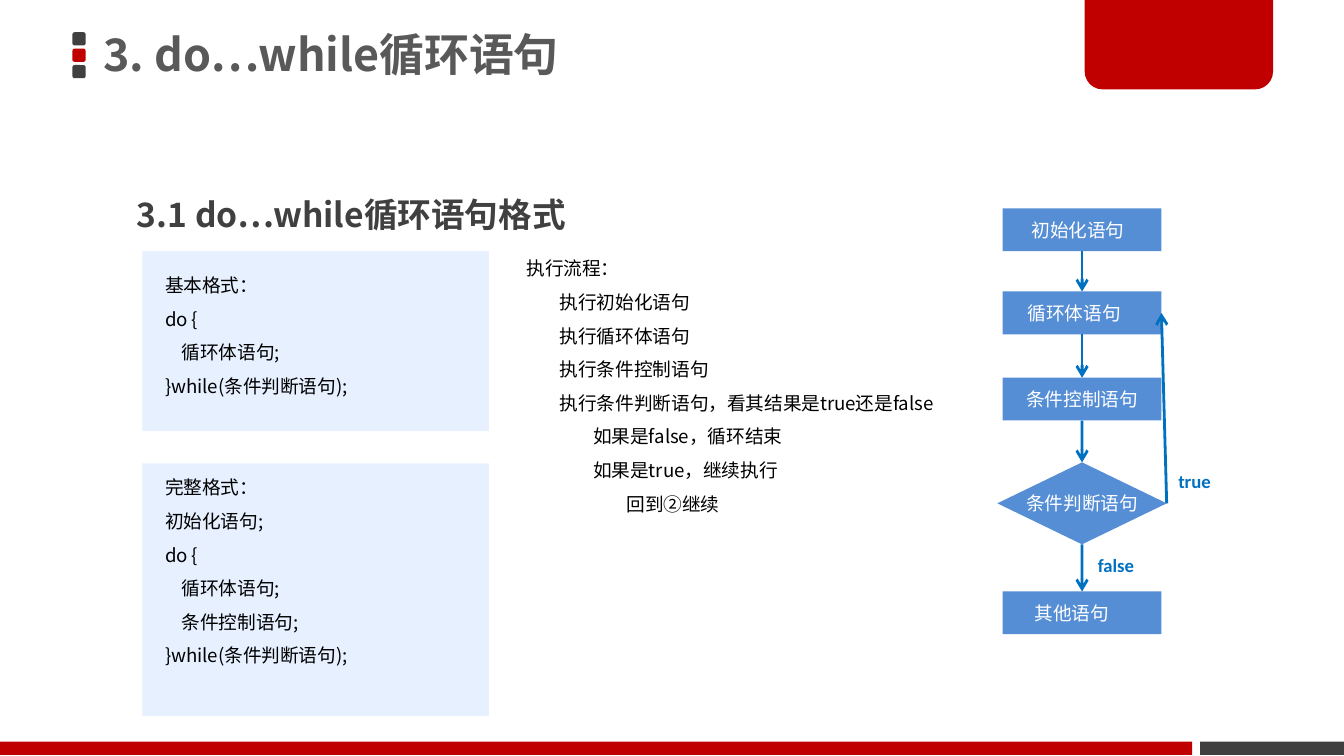
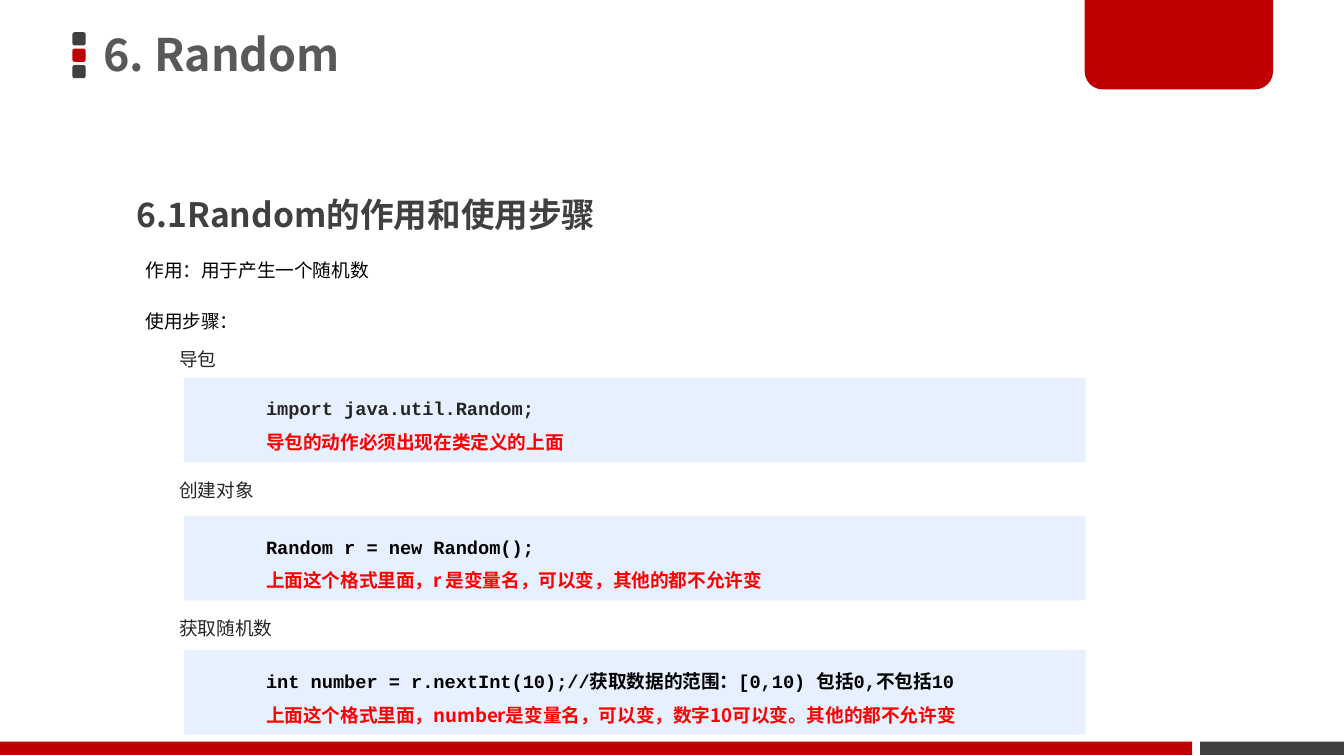
from itertools import pairwise

from lxml import etree
from pptx import Presentation
from pptx import util as u
from pptx.dml.color import RGBColor
from pptx.enum import shapes, text
from pptx.oxml.ns import qn

Cm, Pt = u.Cm, u.Pt
SHAPE, ALIGN, ANCHOR = shapes.MSO_SHAPE, text.PP_ALIGN, text.MSO_ANCHOR

SANS, MONO, LATIN = "Noto Sans CJK SC", "Courier New", "Calibri"
RED, DARK, PALE, BLUE, ARROW = "C00000", "404040", "E6F0FF", "558ED5", "0070C0"
INK, SOFT_INK, WARNING, WHITE = "000000", "262626", "FF0000", "FFFFFF"


def rgb(hex_string):
    return RGBColor.from_string(hex_string)


def place(shape, box):
    shape.left, shape.top, shape.width, shape.height = map(Cm, box)


def write(shape, lines, *, size=10, font=SANS, color=INK, bold=False, align=ALIGN.LEFT,
          anchor=ANCHOR.TOP, spacing=None, before=0, indent=0, wrap=True,
          insets=(0.25, 0.13, 0.25, 0.13)):
    """Fill a shape with lines; a line may be (text, overrides of its own)."""
    frame = shape.text_frame
    frame.word_wrap = wrap
    frame.auto_size = text.MSO_AUTO_SIZE.NONE
    frame.vertical_anchor = anchor
    (frame.margin_left, frame.margin_top,
     frame.margin_right, frame.margin_bottom) = map(Cm, insets)
    common = dict(font=font, color=color, indent=indent, before=before)
    for number, line in enumerate(lines):
        content, own = (line, {}) if isinstance(line, str) else line
        style = common | own
        paragraph = frame.add_paragraph() if number else frame.paragraphs[0]
        properties = paragraph._p.get_or_add_pPr()
        properties.set("marL", str(Cm(style["indent"])))
        properties.set("indent", "0")
        etree.SubElement(properties, qn("a:buNone"))
        paragraph.alignment = align
        paragraph.space_before = Pt(style["before"] if number else 0)
        if spacing:
            paragraph.line_spacing = spacing
        run = paragraph.add_run()
        run.text = content
        run.font.size, run.font.bold, run.font.name = Pt(size), bold, style["font"]
        run.font.color.rgb = rgb(style["color"])
        etree.SubElement(run._r.get_or_add_rPr(), qn("a:ea"), typeface=SANS)


class Deck:
    line_pitch = Pt(18)

    def __init__(self):
        self.presentation = Presentation()
        self.presentation.slide_width = Cm(25.4)
        self.presentation.slide_height = Cm(14.29)
        self.slide = None

    def new_slide(self, title, heading):
        layout = self.presentation.slide_layouts[1]
        self.slide = self.presentation.slides.add_slide(layout)
        self.decorate()
        place(self.slide.shapes.title, (1.75, -0.05, 14.96, 2.26))
        write(self.slide.shapes.title, [title], size=24, color="595959", bold=True,
              anchor=ANCHOR.MIDDLE, spacing=0.9, insets=(0.2, 0.1, 0.2, 0.1))
        self.note(heading, (2.34, 3.15, 12.17, 1.4), size=18, color=DARK, bold=True,
                  spacing=Pt(32.4))

    def decorate(self):
        for row, color in enumerate((DARK, RED, DARK)):
            self.block((1.37, 0.61 + 0.31 * row, 0.25, 0.25), color,
                       SHAPE.ROUNDED_RECTANGLE)
        corner_tab = self.block((20.5, 0, 3.56, 1.69), RED,
                                SHAPE.ROUND_2_SAME_RECTANGLE)
        corner_tab.adjustments[0], corner_tab.adjustments[1] = 0, 0.2
        self.block((0, 14.02, 22.53, 0.25), RED)
        self.block((22.68, 14.02, 2.72, 0.25), DARK)

    def block(self, box, color, kind=SHAPE.RECTANGLE):
        shape = self.slide.shapes.add_shape(kind, *map(Cm, box))
        shape.shadow.inherit = False
        shape.fill.solid()
        shape.fill.fore_color.rgb = rgb(color)
        shape.line.fill.background()
        return shape

    def body(self, lines, box):
        body = self.slide.placeholders[1]
        place(body, box)
        write(body, lines, spacing=self.line_pitch)

    def note(self, content, box, **style):
        write(self.slide.shapes.add_textbox(*map(Cm, box)), [content], **style)

    def panel(self, lines, box, left, top, **style):
        """Pale block whose text starts left and top inside it."""
        write(self.block(box, PALE), lines, spacing=self.line_pitch,
              insets=(left, top, 0, 0), **style)

    def step(self, label, box, kind=SHAPE.RECTANGLE, right_inset=0):
        shape = self.block(box, BLUE, kind)
        write(shape, [label], color=WHITE, align=ALIGN.CENTER, anchor=ANCHOR.MIDDLE,
              wrap=False, insets=(0, 0, right_inset, 0))
        return shape

    def arrow(self, source, source_site, target, target_site):
        arrow = self.slide.shapes.add_connector(
            shapes.MSO_CONNECTOR.STRAIGHT, 0, 0, 0, 0)
        arrow.begin_connect(source, source_site)
        arrow.end_connect(target, target_site)
        arrow.line.color.rgb = rgb(ARROW)
        arrow.line.width = Pt(1.5)
        etree.SubElement(arrow.line._get_or_add_ln(), qn("a:tailEnd"), type="arrow")
        etree.SubElement(arrow._element.spPr, qn("a:effectLst"))


def do_while_slide(deck):
    deck.new_slide("3. do…while循环语句", "3.1 do…while循环语句格式")
    deck.panel(["基本格式：", "do {", "    循环体语句;", "}while(条件判断语句);"],
               (2.69, 4.75, 6.55, 3.4), left=0.43, top=0.22)
    deck.panel(["完整格式：", "初始化语句;", "do {", "    循环体语句;",
                "    条件控制语句;", "}while(条件判断语句);"],
               (2.69, 8.76, 6.55, 4.78), left=0.43, top=0.03)

    flow = [("执行流程：", 0), ("执行初始化语句", 1), ("执行循环体语句", 1),
            ("执行条件控制语句", 1), ("执行条件判断语句，看其结果是true还是false", 1),
            ("如果是false，循环结束", 2), ("如果是true，继续执行", 2),
            ("回到②继续", 3)]
    deck.body([(line, {"indent": 0.63 * level}) for line, level in flow],
              (9.7, 4.52, 9, 5.36))

    left, width, height = 18.95, 3, 0.81
    start = deck.step("初始化语句", (left, 3.94, width, height), right_inset=0.15)
    loop_body = deck.step("循环体语句", (left, 5.51, width, height), right_inset=0.3)
    control = deck.step("条件控制语句", (left, 7.14, width, height))
    decision = deck.step("条件判断语句", (left - 0.1, 8.74, width + 0.2, 1.55),
                         SHAPE.FLOWCHART_DECISION)
    rest = deck.step("其他语句", (left, 11.18, width, height), right_inset=0.38)
    top, bottom, right = 0, 2, 3
    for upper, lower in pairwise((start, loop_body, control, decision, rest)):
        deck.arrow(upper, bottom, lower, top)
    deck.arrow(decision, right, loop_body, right)
    for answer, x, y in (("false", 20.5, 10.34), ("true", 22.02, 8.76)):
        deck.note(answer, (x, y, 1.68, 0.69), font=LATIN, color=ARROW, bold=True)


def random_slide(deck):
    deck.new_slide("6. Random", "6.1Random的作用和使用步骤")
    deck.body(["作用：用于产生一个随机数", ("使用步骤：", {"before": 9.3})],
              (2.5, 4.55, 10.6, 1.9))
    steps = [
        ("导包", 6.23, 7.14, "import java.util.Random;", SOFT_INK,
         "导包的动作必须出现在类定义的上面"),
        ("创建对象", 8.71, 9.75, "Random r = new Random();", INK,
         "上面这个格式里面，r 是变量名，可以变，其他的都不允许变"),
        ("获取随机数", 11.32, 12.29,
         "int number = r.nextInt(10);//获取数据的范围：[0,10) 包括0,不包括10", INK,
         "上面这个格式里面，number是变量名，可以变，数字10可以变。其他的都不允许变"),
    ]
    for caption, caption_top, panel_top, code, code_color, remark in steps:
        deck.note(caption, (3.14, caption_top, 15.72, 0.89), color=SOFT_INK,
                  spacing=deck.line_pitch)
        deck.panel([(code, {"font": MONO, "color": code_color}), remark],
                   (3.48, panel_top, 17.04, 1.6), left=1.55, top=0.16,
                   color=WARNING, bold=True)


def main():
    deck = Deck()
    do_while_slide(deck)
    random_slide(deck)
    deck.presentation.save("out.pptx")


if __name__ == "__main__":
    main()
